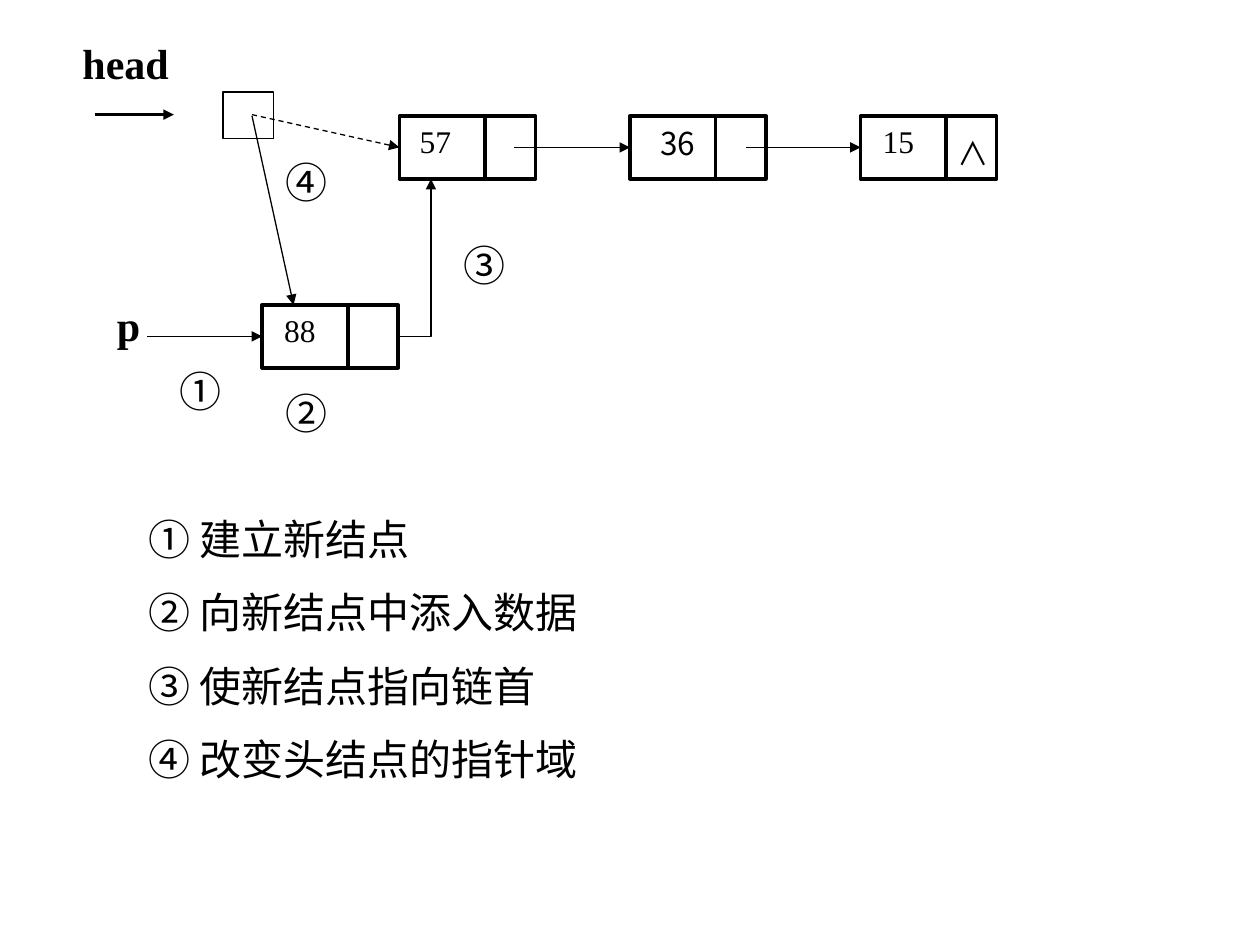
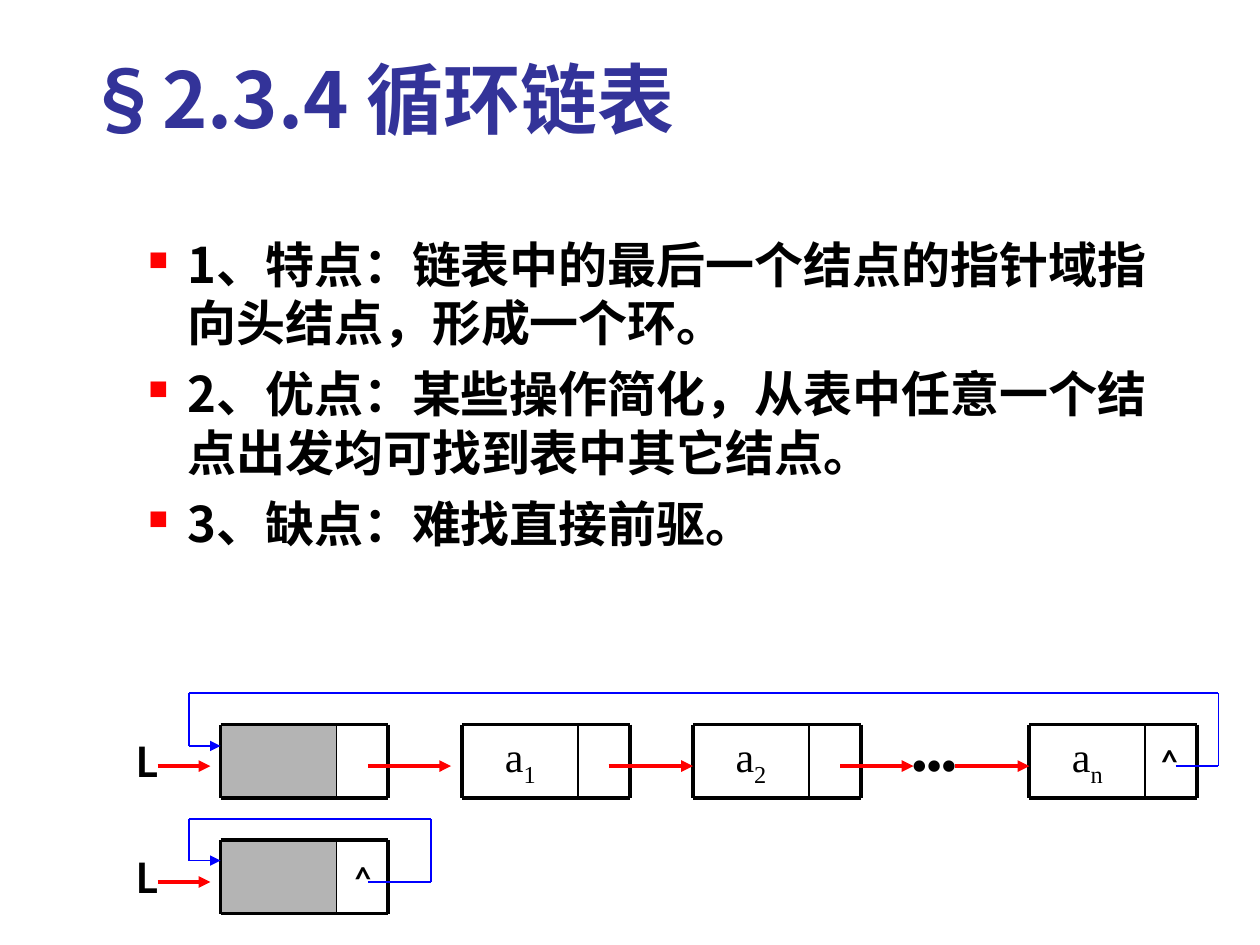
from dataclasses import dataclass
from itertools import pairwise

import pptx
import pptx.dml.color
import pptx.enum.dml
import pptx.enum.shapes
import pptx.enum.text
import pptx.oxml.ns
import pptx.util
from lxml import etree

Inches = pptx.util.Inches
Pt = pptx.util.Pt
ALIGN = pptx.enum.text.PP_ALIGN
ANCHOR = pptx.enum.text.MSO_ANCHOR
RECT = pptx.enum.shapes.MSO_SHAPE.RECTANGLE
COLORS = {"ink": "000000", "paper": "FFFFFF", "title": "333399",
          "red": "FF0000", "blue": "0000FF", "gray": "B4B4B4"}
SC, JP = "Noto Sans CJK SC", "Noto Sans CJK JP"
SERIF, SANS = "Times New Roman", "Lato"
PAD = (0.1, 0.05, 0.1, 0.05)
TIGHT = (0, 0.05, 0, 0.05)
FLUSH = (0, 0, 0, 0)


@dataclass
class ListNode:
    x: float
    y: float
    value: str
    text_dx: float
    font: str = SERIF
    align: ALIGN = ALIGN.CENTER


@dataclass
class RingNode:
    x: float
    y: float
    index: str = ""


def rgb(name: str) -> pptx.dml.color.RGBColor:
    return pptx.dml.color.RGBColor.from_string(COLORS[name])


def add_xml(parent, tag: str, **attrs: str):
    return etree.SubElement(parent, pptx.oxml.ns.qn(tag), attrs)


def add_bullet(p, indent: float, hang: float) -> None:
    pPr = p._p.get_or_add_pPr()
    pPr.set("marL", str(Inches(indent)))
    pPr.set("indent", str(-Inches(hang)))
    add_xml(add_xml(pPr, "a:buClr"), "a:srgbClr", val=COLORS["red"])
    add_xml(pPr, "a:buSzPct", val="55000")
    add_xml(pPr, "a:buChar", char="■")


def add_text(s, x: float, y: float, w: float, h: float, *paragraphs: str, size: float = 24,
             font: str = SC, color: str = "ink", bold: bool = False, align=ALIGN.LEFT,
             anchor=ANCHOR.TOP, inset=PAD, wrap: bool = True, sub: str = "",
             spacing: float = 0, before: float = 0, bullet=None):
    sp = s.shapes.add_textbox(Inches(x), Inches(y), Inches(w), Inches(h))
    tf = sp.text_frame
    tf.word_wrap = wrap
    tf.vertical_anchor = anchor
    tf.margin_left, tf.margin_top, tf.margin_right, tf.margin_bottom = map(Inches, inset)
    for i, content in enumerate(paragraphs):
        p = tf.add_paragraph() if i else tf.paragraphs[0]
        if bullet:
            add_bullet(p, *bullet)
        p.alignment = align
        if spacing:
            p.line_spacing = Pt(spacing * size)
        if i and before:
            p.space_before = Pt(before)
        for part in filter(None, (content, sub)):
            r = p.add_run()
            r.text = part
            r.font.size = Pt(size)
            r.font.bold = bold
            r.font.color.rgb = rgb(color)
            r.font.name = font
            rPr = r._r.get_or_add_rPr()
            add_xml(rPr, "a:ea", typeface=font)
            if part is sub:
                rPr.set("baseline", "-25000")
    return sp


def add_rect(s, x: float, y: float, w: float, h: float, fill: str = "", line: float = 0):
    sp = s.shapes.add_shape(RECT, Inches(x), Inches(y), Inches(w), Inches(h))
    sp.shadow.inherit = False
    if fill:
        sp.fill.solid()
        sp.fill.fore_color.rgb = rgb(fill)
    else:
        sp.fill.background()
    if line:
        sp.line.color.rgb = rgb("ink")
        sp.line.width = Pt(line)
    else:
        sp.line.fill.background()
    return sp


def add_head(sp) -> None:
    add_xml(sp.line._get_or_add_ln(), "a:tailEnd", type="triangle")


def add_line(s, start, end, color: str = "ink", width: float = 0.75, arrow: bool = False,
             dash: bool = False, target=None):
    c = s.shapes.add_connector(pptx.enum.shapes.MSO_CONNECTOR.STRAIGHT,
                               *map(Inches, (*start, *end)))
    c.line.color.rgb = rgb(color)
    c.line.width = Pt(width)
    if dash:
        c.line.dash_style = pptx.enum.dml.MSO_LINE.DASH
    if arrow:
        add_head(c)
    if target is not None:
        c.end_connect(target, 1)
    add_xml(c._element.spPr, "a:effectLst")
    return c


def add_list_node(s, node: ListNode):
    sp = add_rect(s, node.x, node.y, 1.08, 0.5, line=2)
    divider = node.x + 0.68
    add_line(s, (divider, node.y), (divider, node.y + 0.5), width=2)
    add_text(s, node.x + node.text_dx, node.y, 0.42, 0.4, node.value, size=18, font=node.font,
             align=node.align, inset=TIGHT, spacing=1.27 if node.font == JP else 0)
    return sp


def add_ring_node(s, node: RingNode) -> None:
    left, top, right, bottom = node.x, node.y, node.x + 1.33, node.y + 0.58
    if node.index:
        add_text(s, left, top, 0.92, 0.58, "a", sub=node.index, font=SERIF, align=ALIGN.CENTER)
    else:
        add_rect(s, left, top, 0.92, 0.58, fill="gray")
    for y in (top, bottom):
        add_line(s, (left, y), (right, y), width=2.25)
    for x, width in ((left, 2.25), (left + 0.92, 1), (right, 2.25)):
        add_line(s, (x, top), (x, bottom), width=width)


def add_return_loop(s, start_x: float, right: float, y: float, top: float, entry: float) -> None:
    points = [(start_x, y), (right, y), (right, top), (1.5, top), (1.5, entry), (1.75, entry)]
    for a, b in pairwise(points):
        add_line(s, a, b, color="blue", arrow=b == points[-1])


def add_red_arrow(s, x1: float, x2: float, y: float) -> None:
    add_line(s, (x1, y), (x2, y), color="red", width=2.25, arrow=True)


def build_insertion(prs) -> None:
    s = prs.slides.add_slide(prs.slide_layouts[6])
    first, second, last, new = [add_list_node(s, node) for node in (
        ListNode(3.17, 0.92, "57", 0.16, align=ALIGN.LEFT),
        ListNode(5, 0.92, "36", 0.17, font=JP),
        ListNode(6.83, 0.92, "15", 0.09),
        ListNode(2.08, 2.42, "88", 0.09))]
    add_text(s, 7.5, 1, 0.42, 0.4, "∧", size=18, font=JP, spacing=1.27)
    add_rect(s, 1.77, 0.73, 0.4, 0.37, fill="paper", line=0.75)
    add_text(s, 0.57, 0.3, 0.77, 0.43, "head", font=SERIF, bold=True, align=ALIGN.RIGHT,
             inset=FLUSH)
    add_text(s, 0.83, 2.33, 0.83, 0.5, "p", font=SERIF, bold=True)
    add_line(s, (0.75, 0.91), (1.38, 0.91), width=1.5, arrow=True)
    add_line(s, (2, 0.91), (3.17, 1.17), dash=True, arrow=True, target=first)
    add_line(s, (2, 0.92), (2.33, 2.42), arrow=True)
    add_line(s, (4.08, 1.17), (5, 1.17), arrow=True, target=second)
    add_line(s, (5.92, 1.17), (6.83, 1.17), arrow=True, target=last)
    add_line(s, (1.17, 2.67), (2.08, 2.67), arrow=True, target=new)

    fb = s.shapes.build_freeform(Inches(3.17), Inches(2.67))
    fb.add_line_segments([(Inches(3.42), Inches(2.67)), (Inches(3.42), Inches(1.42))], close=False)
    elbow = fb.convert_to_shape()
    elbow.shadow.inherit = False
    elbow.fill.background()
    elbow.line.color.rgb = rgb("ink")
    elbow.line.width = Pt(0.75)
    add_head(elbow)

    for mark, x, y in (("①", 1.33, 2.83), ("②", 2.17, 3), ("③", 3.58, 1.83), ("④", 2.17, 1.17)):
        add_text(s, x, y, 0.92, 0.5, mark, font=JP, spacing=1.27)
    steps = ("① 建立新结点", "② 向新结点中添入数据", "③ 使新结点指向链首", "④ 改变头结点的指针域")
    for i, step in enumerate(steps):
        add_text(s, 1.08, 4 + i * 1.75 / 3, 3.92, 0.5, step, spacing=1.27)


def build_circular_list(prs) -> None:
    s = prs.slides.add_slide(prs.slide_layouts[6])
    add_text(s, 0.58, 0.1, 8.5, 1.04, "§2.3.4 循环链表", size=44, color="title", bold=True,
             anchor=ANCHOR.BOTTOM, inset=(0.1, 0.05, 0.1, 0))
    add_text(s, 0.58, 1.81, 8.75, 2.63,
             "1、特点：链表中的最后一个结点的指针域指向头结点，形成一个环。",
             "2、优点：某些操作简化，从表中任意一个结点出发均可找到表中其它结点。",
             "3、缺点：难找直接前驱。",
             size=28, bold=True, spacing=1.2, before=7, bullet=(0.81, 0.31))

    for node in (RingNode(1.75, 5.75), RingNode(3.67, 5.75, "1"), RingNode(5.5, 5.75, "2"),
                 RingNode(8.17, 5.75, "n"), RingNode(1.75, 6.67)):
        add_ring_node(s, node)
    for y in (5.75, 6.67):
        add_text(s, 0.83, y, 0.67, 0.58, "L", font=SANS, bold=True, align=ALIGN.CENTER,
                 anchor=ANCHOR.MIDDLE, wrap=False)
        add_red_arrow(s, 1.25, 1.67, y + 0.33)
    for x1, x2 in ((2.92, 3.58), (4.83, 5.5), (6.67, 7.25), (7.58, 8.17)):
        add_red_arrow(s, x1, x2, 6.08)
    add_text(s, 7.08, 5.77, 0.67, 0.58, "•••", font=SERIF, bold=True, align=ALIGN.CENTER,
             anchor=ANCHOR.MIDDLE, wrap=False)
    add_return_loop(s, 9.33, 9.67, 6.08, 5.5, 5.92)
    add_return_loop(s, 2.92, 3.42, 7, 6.5, 6.83)
    for x, y in ((9.21, 5.89), (2.81, 6.82)):
        add_text(s, x, y, 0.14, 0.3, "^", size=18, font=SANS, bold=True, inset=FLUSH, wrap=False)


def main() -> None:
    prs = pptx.Presentation()
    prs.slide_width, prs.slide_height = Inches(10), Inches(7.5)
    build_insertion(prs)
    build_circular_list(prs)
    prs.save("out.pptx")


if __name__ == "__main__":
    main()
